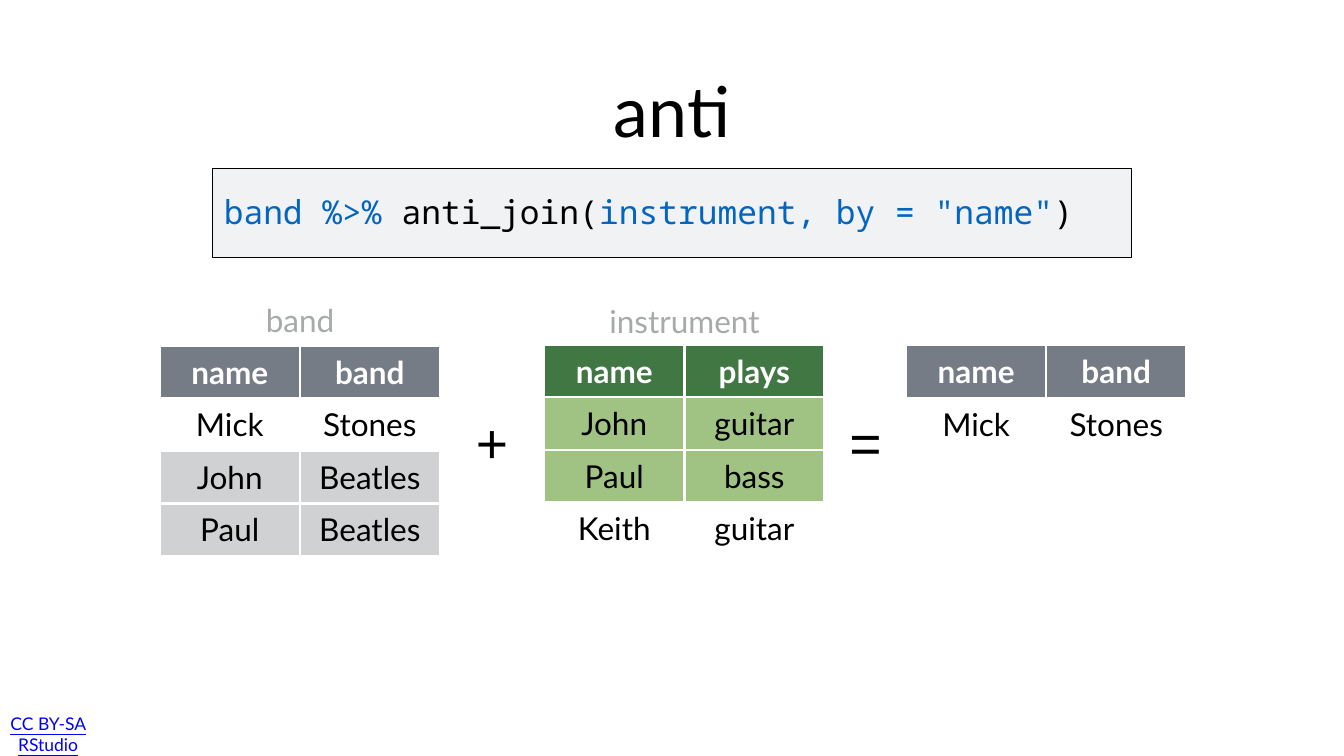
"""Build the anti join slide with two source tables and their result."""
from dataclasses import dataclass

from lxml import etree
from pptx import Presentation
from pptx.dml.color import RGBColor
from pptx.enum import shapes, text
from pptx.oxml import ns
from pptx.util import Cm, Pt

COLORS = {
    "black": "000000", "white": "FFFFFF", "panel": "F0F2F4", "code": "0365C0",
    "link": "0000FF", "label": "A6AAA9", "slate": "767C85", "silver": "D0D1D2",
    "forest": "407742", "lime": "A0C283",
}
COLUMN_WIDTH, ROW_HEIGHT = 7.06, 2.65


@dataclass(frozen=True)
class Label:
    """Centred text with its place in centimetres."""
    words: str
    left: float
    top: float
    width: float
    height: float
    size: int
    color: str = "black"
    font: str = "Lato"
    wrap: bool = True
    underline: bool = False


@dataclass(frozen=True)
class DataTable:
    """Header and body rows, with the body rows that are shaded."""
    left: float
    top: float
    rows: list[tuple[str, str]]
    header_color: str
    shade: str = "silver"
    shaded: tuple[int, ...] = ()


LABELS = [
    Label("CC BY-SA RStudio", 0.2, 36.22, 4.45, 1.52, 25, "link", underline=True),
    Label("band", 11.71, 14.86, 6.83, 2.54, 45, "label"),
    Label("instrument", 30.18, 14.88, 8.64, 2.54, 45, "label"),
    Label("+", 23.75, 20.37, 2.11, 3.71, 79, font="Arial", wrap=False),
    Label("=", 42.57, 20.37, 2.11, 3.71, 79, font="Arial", wrap=False),
]
TABLES = [
    DataTable(8.05, 17.42, [("name", "band"), ("Mick", "Stones"), ("John", "Beatles"),
                            ("Paul", "Beatles")], "slate", shaded=(2, 3)),
    DataTable(27.43, 17.37, [("name", "plays"), ("John", "guitar"), ("Paul", "bass"),
                             ("Keith", "guitar")], "forest", "lime", (1, 2)),
    DataTable(45.67, 17.4, [("name", "band"), ("Mick", "Stones")], "slate"),
]
CODE = [("band %>% ", "code"), ("anti_join(", "black"),
        ('instrument, by = "name"', "code"), (")", "black")]


def rgb(name: str) -> RGBColor:
    """Look up a colour by name."""
    return RGBColor.from_string(COLORS[name])


def style(para, size: int, color: str, font: str = "Lato", bold: bool = False) -> None:
    """Centre a paragraph and set its font."""
    para.alignment = text.PP_ALIGN.CENTER
    para.font.name = font
    para.font.size = Pt(size)
    para.font.bold = bold
    para.font.color.rgb = rgb(color)


def set_margins(item, margin: float) -> None:
    """Give a frame or cell the same margin on every side."""
    item.margin_left = item.margin_right = Cm(margin)
    item.margin_top = item.margin_bottom = Cm(margin)


def set_borders(cell) -> None:
    """Draw white borders around a cell, ahead of its fill."""
    properties = cell._tc.get_or_add_tcPr()
    for index, side in enumerate(("lnL", "lnR", "lnT", "lnB")):
        line = etree.Element(ns.qn(f"a:{side}"), w=str(Pt(4)))
        fill = etree.SubElement(line, ns.qn("a:solidFill"))
        etree.SubElement(fill, ns.qn("a:srgbClr"), val=COLORS["white"])
        properties.insert(index, line)


def add_title(page, words: str) -> None:
    """Place and format the title placeholder."""
    title = page.shapes.title
    title.left, title.top, title.width, title.height = map(Cm, (11.13, 2.18, 45.47, 6.65))
    frame = title.text_frame
    frame.text = words
    frame.word_wrap = True
    frame.auto_size = text.MSO_AUTO_SIZE.NONE
    frame.vertical_anchor = text.MSO_ANCHOR.MIDDLE
    set_margins(frame, 0.15)
    style(frame.paragraphs[0], 100, "black")


def add_label(page, label: Label) -> None:
    """Add one centred text box."""
    box = page.shapes.add_textbox(*map(Cm, (label.left, label.top, label.width, label.height)))
    frame = box.text_frame
    frame.word_wrap = label.wrap
    frame.vertical_anchor = text.MSO_ANCHOR.MIDDLE
    set_margins(frame, 0.2)
    para = frame.paragraphs[0]
    para.text = label.words
    style(para, label.size, label.color, label.font)
    para.font.underline = label.underline


def add_code(page) -> None:
    """Add the code panel and its coloured line of code."""
    panel = page.shapes.add_shape(shapes.MSO_SHAPE.RECTANGLE, *map(Cm, (10.72, 8.48, 46.28, 4.5)))
    panel.shadow.inherit = False
    panel.fill.solid()
    panel.fill.fore_color.rgb = rgb("panel")
    panel.line.color.rgb = rgb("black")
    panel.line.width = Pt(1)
    frame = page.shapes.add_textbox(*map(Cm, (11.13, 9.5, 45.47, 3.96))).text_frame
    frame.word_wrap = True
    set_margins(frame, 0.15)
    para = frame.paragraphs[0]
    para.font.name = "Noto Sans Mono"
    para.font.size = Pt(47)
    for words, color in CODE:
        span = para.add_run()
        span.text = words
        span.font.color.rgb = rgb(color)


def add_data_table(page, data: DataTable) -> None:
    """Add a two-column table with a coloured header."""
    count = len(data.rows)
    table = page.shapes.add_table(
        count, 2, Cm(data.left), Cm(data.top),
        Cm(2 * COLUMN_WIDTH), Cm(count * ROW_HEIGHT)).table
    table.first_row = table.horz_banding = False
    for column in table.columns:
        column.width = Cm(COLUMN_WIDTH)
    for index, words in enumerate(data.rows):
        table.rows[index].height = Cm(ROW_HEIGHT)
        header = index == 0
        for cell, word in zip(table.rows[index].cells, words):
            cell.text = word
            cell.vertical_anchor = text.MSO_ANCHOR.MIDDLE
            set_margins(cell, 0.15)
            style(cell.text_frame.paragraphs[0], 45, "white" if header else "black", bold=header)
            if header or index in data.shaded:
                cell.fill.solid()
                cell.fill.fore_color.rgb = rgb(data.header_color if header else data.shade)
            else:
                cell.fill.background()
            set_borders(cell)


def main() -> None:
    """Build and save the deck."""
    deck = Presentation()
    deck.slide_width, deck.slide_height = Cm(67.74), Cm(38.1)
    page = deck.slides.add_slide(deck.slide_layouts[5])
    add_title(page, "anti")
    add_code(page)
    for data in TABLES:
        add_data_table(page, data)
    for label in LABELS:
        add_label(page, label)
    deck.save("out.pptx")


if __name__ == "__main__":
    main()
